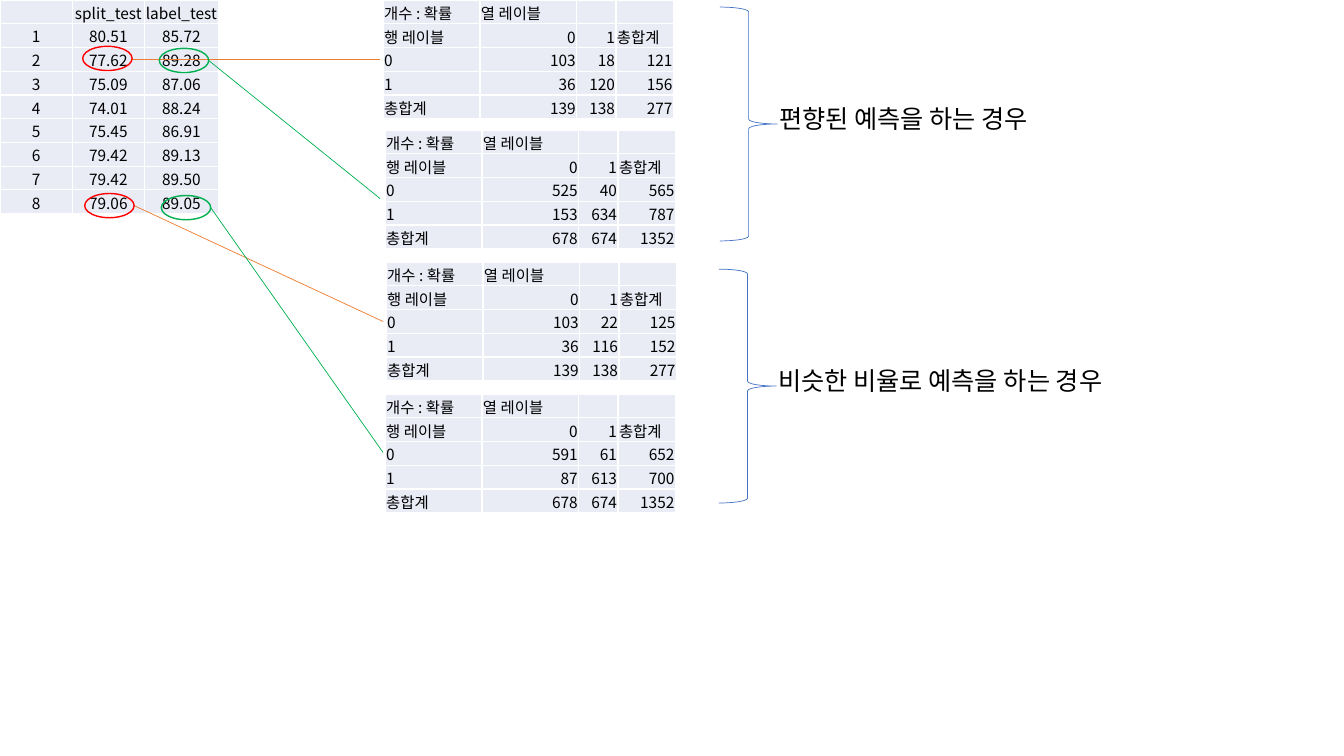
from lxml import etree
from pptx import Presentation
from pptx.dml.color import RGBColor
from pptx.enum.shapes import MSO_CONNECTOR, MSO_SHAPE
from pptx.enum.text import MSO_ANCHOR, MSO_AUTO_SIZE, PP_ALIGN
from pptx.oxml.ns import qn
from pptx.util import Inches, Pt

LEFT, CENTER, RIGHT = PP_ALIGN.LEFT, PP_ALIGN.CENTER, PP_ALIGN.RIGHT
MIDDLE, BOTTOM = MSO_ANCHOR.MIDDLE, MSO_ANCHOR.BOTTOM
FIT_SHAPE = MSO_AUTO_SIZE.SHAPE_TO_FIT_TEXT
STRAIGHT = MSO_CONNECTOR.STRAIGHT
ELLIPSE, BRACE = MSO_SHAPE.OVAL, MSO_SHAPE.RIGHT_BRACE

FONT = "Noto Sans CJK KR"
CELL_FILL, BLACK = "E9EBF5", "000000"
RED, GREEN, ORANGE, BLUE = "FF0000", "00B050", "ED7D31", "4472C4"
ROW_HEIGHT = Inches(2.12) // 9


def write(frame, text, size=11, color=BLACK, align=LEFT):
    """Put one formatted paragraph in a text frame; an empty one keeps its size."""
    paragraph = frame.paragraphs[0]
    paragraph.alignment = align
    if not text:
        etree.SubElement(paragraph._p, qn("a:endParaRPr"), sz=str(size * 100))
        return
    run = paragraph.add_run()
    run.text = text
    run.font.size = Pt(size)
    run.font.name = FONT
    run.font.color.rgb = RGBColor.from_string(color)
    etree.SubElement(run.font._element, qn("a:ea"), typeface=FONT)


def outline(mark, color, width):
    """Give a shape or connector a plain line without shadow."""
    mark.line.color.rgb = RGBColor.from_string(color)
    mark.line.width = Pt(width)
    etree.SubElement(mark._element.spPr, qn("a:effectLst"))


prs = Presentation()
prs.slide_width, prs.slide_height = Inches(13.33), Inches(7.5)
slide = prs.slides.add_slide(prs.slide_layouts[6])

# Test scores, and the counts of each confusion matrix
scores = [
    ("80.51", "85.72"), ("77.62", "89.28"), ("75.09", "87.06"), ("74.01", "88.24"),
    ("75.45", "86.91"), ("79.42", "89.13"), ("79.42", "89.50"), ("79.06", "89.05"),
]
score_rows = [("", "split_test", "label_test")]
score_rows += [(str(number), *pair) for number, pair in enumerate(scores, 1)]
# The last column is a little wider so that its header stays on one line
tables = [(0, 0, [0.72, 0.71, 0.74], MIDDLE, score_rows)]

matrices = [
    (3.8, 0, (103, 18), (36, 120)),
    (3.82, 1.29, (525, 40), (153, 634)),
    (3.83, 2.6, (103, 22), (36, 116)),
    (3.82, 3.91, (591, 61), (87, 613)),
]
for left, top, zeros, ones in matrices:
    totals = [sum(column) for column in zip(zeros, ones)]
    counts = [("0", zeros), ("1", ones), ("총합계", totals)]
    rows = [("개수 : 확률", "열 레이블", "", ""), ("행 레이블", "0", "1", "총합계")]
    rows += [(label, *map(str, pair), str(sum(pair))) for label, pair in counts]
    tables.append((left, top, [0.96, 0.96, 0.39, 0.57], BOTTOM, rows))

for left, top, widths, anchor, rows in tables:
    grid = slide.shapes.add_table(
        len(rows), len(widths), Inches(left), Inches(top),
        Inches(sum(widths)), ROW_HEIGHT * len(rows)).table
    grid.first_row = grid.horz_banding = False
    for column, width in zip(grid.columns, widths):
        column.width = Inches(width)
    for row, texts in zip(grid.rows, rows):
        row.height = ROW_HEIGHT
        for index, (cell, text) in enumerate(zip(row.cells, texts)):
            cell.fill.solid()
            cell.fill.fore_color.rgb = RGBColor.from_string(CELL_FILL)
            cell.margin_left = cell.margin_right = cell.margin_top = Inches(0.01)
            cell.margin_bottom = 0
            cell.vertical_anchor = anchor
            number_align = RIGHT if index and text.isdigit() else LEFT
            write(cell.text_frame, text,
                  align=CENTER if anchor == MIDDLE else number_align)

# Circled scores, each joined to its matrix
links = [
    (0.82, 0.46, RED, ORANGE, (3.77, 0.59), (1.31, 0.59)),
    (1.58, 0.48, GREEN, GREEN, (3.77, 1.97), (2.07, 0.6)),
    (0.84, 1.92, RED, ORANGE, (3.8, 3.19), (1.33, 2.04)),
    (1.6, 1.94, GREEN, GREEN, (3.8, 4.49), (2.09, 2.06)),
]
for left, top, ring_color, link_color, matrix_end, score_end in links:
    link = slide.shapes.add_connector(
        STRAIGHT, *map(Inches, matrix_end), *map(Inches, score_end))
    outline(link, link_color, 0.5)
    ring = slide.shapes.add_shape(
        ELLIPSE, Inches(left), Inches(top), Inches(0.49), Inches(0.24))
    ring.fill.background()
    outline(ring, ring_color, 1)

# Braces with the case each pair of matrices shows
cases = [
    ("편향된 예측을 하는 경우", 7.63, 0.98, 2.99, 7.14, 0.07),
    ("비슷한 비율로 예측을 하는 경우", 7.62, 3.58, 3.84, 7.13, 2.67),
]
for text, left, top, width, brace_left, brace_top in cases:
    caption = slide.shapes.add_textbox(
        Inches(left), Inches(top), Inches(width), Inches(0.4)).text_frame
    caption.word_wrap = False
    caption.auto_size = FIT_SHAPE
    write(caption, text, size=18)
    brace = slide.shapes.add_shape(
        BRACE, Inches(brace_left), Inches(brace_top), Inches(0.57), Inches(2.32))
    brace.fill.background()
    outline(brace, BLUE, 0.5)

prs.save("out.pptx")
